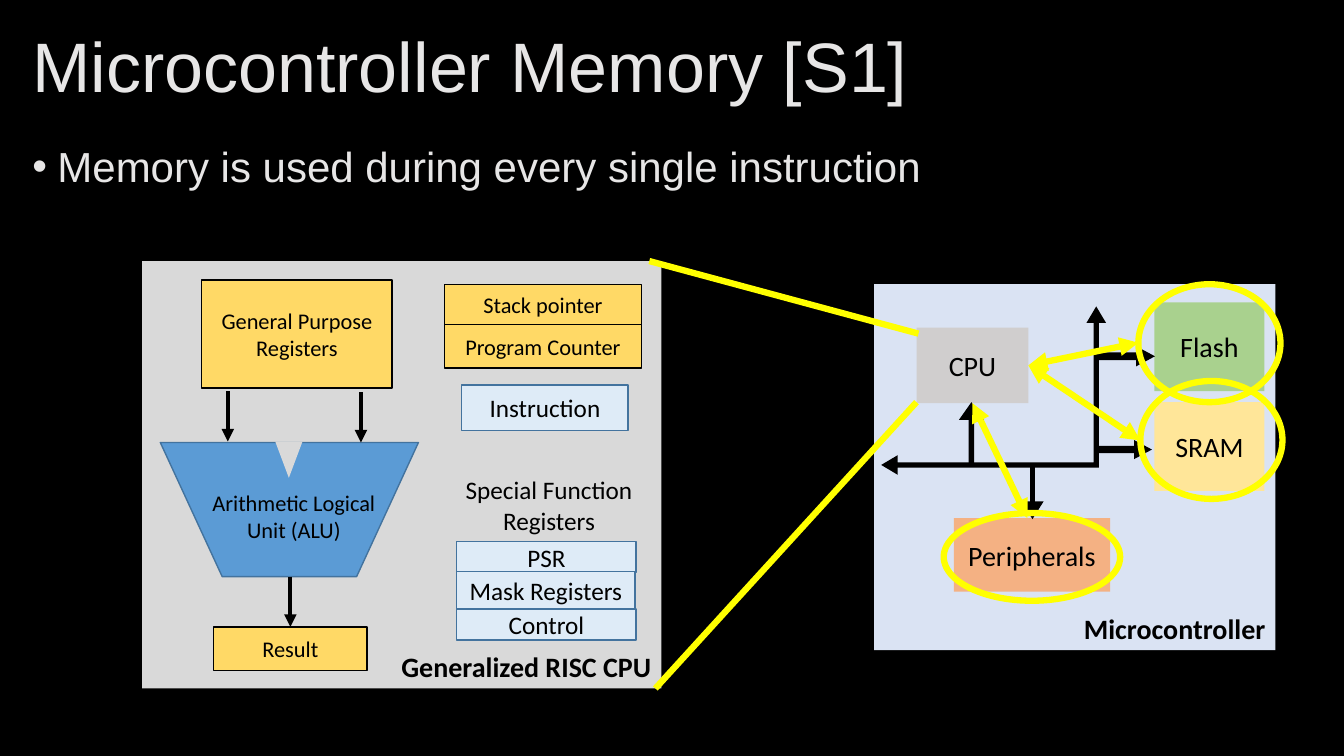
from pptx import Presentation
from pptx.dml.color import RGBColor
from pptx.enum import shapes, text
from pptx.oxml import ns, xmlchemy as xc
from pptx.util import Inches, Pt

KIND = shapes.MSO_SHAPE
BLACK, YELLOW, PALE = "000000", "FFFF00", "E7E6E6"
GOLD, SKY, EDGE, GRAY = "FFD966", "DEEBF7", "43739E", "D9D9D9"

TITLE = ("Microcontroller Memory [S1]", (0.22, 0.21, 12.89, 0.97), 50)
BODY = ("Memory is used during every single instruction", (0.22, 1.4, 11.64, 0.61), 30)

PANELS = [
    ("Microcontroller", (8.67, 2.82, 3.98, 3.63), "DAE3F3"),
    ("Generalized RISC CPU", (1.41, 2.59, 5.15, 4.24), GRAY),
]
UNITS = [
    ("Flash", (11.45, 3, 1.09, 0.88), "A9D18E"),
    ("CPU", (9.09, 3.25, 1.11, 0.75), "D0CECE"),
    ("Peripherals", (9.46, 5.14, 1.55, 0.73), "F4B183"),
    ("SRAM", (11.45, 3.99, 1.09, 0.88), "FFE699"),
]
BUSES = [
    (KIND.LEFT_UP_ARROW, (8.74, 3.04, 2.23, 1.67), 0, (0.032, 0.058, 0.098)),
    (KIND.UP_ARROW, (9.51, 3.99, 0.25, 0.64), 0, (0.222, 0.708)),
    (KIND.UP_ARROW, (11.07, 3.25, 0.2, 0.57), 90, (0.382, 0.936)),
    (KIND.UP_ARROW, (10.13, 4.63, 0.22, 0.52), 180, (0.222, 0.795)),
    (KIND.UP_ARROW, (11.06, 4.19, 0.19, 0.54), 90, (0.382, 0.936)),
]
RINGS = [(11.29, 2.82, 1.41, 1.17), (11.31, 3.78, 1.41, 1.17), (9.36, 5.09, 1.75, 0.87)]
BLOCKS = [
    ("Result", (2.12, 6.22, 1.52, 0.43), GOLD, BLACK, 16),
    ("General Purpose Registers", (2, 2.78, 1.89, 1.07), GOLD, BLACK, 16),
    ("Stack pointer", (4.41, 2.82, 1.95, 0.4), GOLD, BLACK, 16),
    ("Program Counter", (4.41, 3.22, 1.95, 0.43), GOLD, BLACK, 16),
    ("Instruction", (4.58, 3.82, 1.65, 0.45), SKY, EDGE, 18),
    ("PSR", (4.53, 5.37, 1.78, 0.31), SKY, EDGE, 18),
    ("Mask Registers", (4.53, 5.67, 1.77, 0.37), SKY, EDGE, 18),
    ("Control", (4.53, 6.04, 1.78, 0.31), SKY, EDGE, 18),
]
LABELS = [
    ("Arithmetic Logical\nUnit (ALU)", (1.75, 4.8, 2.33, 0.71), 16),
    ("Special Function\nRegisters", (4.5, 4.66, 1.89, 0.71), 18),
]
FLOWS = [(2.26, 3.88), (3.58, 3.89), (2.88, 5.72)]
DROP = 0.5
ZOOMS = [((6.44, 2.59), (9.11, 3.31)), ((6.5, 6.83), (9.09, 3.99))]
LINKS = [
    (2, (9.65, 4), (10.19, 5.14)),
    (3, (10.2, 3.62), (11.29, 3.4)),
    (3, (10.2, 3.62), (11.31, 4.37)),
]


def rgb(code):
    return RGBColor.from_string(code)


def write(frame, words, size, color=BLACK, font="Calibri", bold=False, align=None):
    frame.text = words
    frame.word_wrap = True
    for para in frame.paragraphs:
        para.alignment = align
        for run in para.runs:
            run.font.size = Pt(size)
            run.font.name = font
            run.font.bold = bold
            run.font.color.rgb = rgb(color)


def draw(kind, box, fill=None, edge=None, width=1, turn=0, adjust=()):
    shape = slide.shapes.add_shape(kind, *map(Inches, box))
    shape.shadow.inherit = False
    shape.rotation = turn
    for i, value in enumerate(adjust):
        shape.adjustments[i] = value
    if fill:
        shape.fill.solid()
        shape.fill.fore_color.rgb = rgb(fill)
    else:
        shape.fill.background()
    if edge:
        shape.line.color.rgb = rgb(edge)
        shape.line.width = Pt(width)
    else:
        shape.line.fill.background()
    return shape


def block(words, box, fill, edge=None, size=20):
    shape = draw(KIND.RECTANGLE, box, fill, edge)
    write(shape.text_frame, words, size, align=text.PP_ALIGN.CENTER)
    shape.text_frame.vertical_anchor = text.MSO_ANCHOR.MIDDLE
    return shape


def panel(words, box, fill):
    shape = draw(KIND.RECTANGLE, box, fill)
    write(shape.text_frame, words, 20, bold=True, align=text.PP_ALIGN.RIGHT)
    shape.text_frame.vertical_anchor = text.MSO_ANCHOR.BOTTOM


def join(start, end, color, width, heads=()):
    points = map(Inches, (*start, *end))
    line = slide.shapes.add_connector(shapes.MSO_CONNECTOR.STRAIGHT, *points)
    line.line.color.rgb = rgb(color)
    line.line.width = Pt(width)
    for head in heads:
        tip = xc.OxmlElement(f"a:{head}")
        tip.set("type", "triangle")
        line.line._get_or_add_ln().append(tip)
    line._element.spPr.append(xc.OxmlElement("a:effectLst"))
    return line


def place(holder, words, box, size):
    holder.left, holder.top, holder.width, holder.height = map(Inches, box)
    write(holder.text_frame, words, size, PALE, "Arial", align=text.PP_ALIGN.LEFT)
    return holder.text_frame


deck = Presentation()
deck.slide_width, deck.slide_height = Inches(13.33), Inches(7.5)
slide = deck.slides.add_slide(deck.slide_layouts[1])
slide.background.fill.solid()
slide.background.fill.fore_color.rgb = rgb(BLACK)

head = place(slide.shapes.title, *TITLE)
head.vertical_anchor = text.MSO_ANCHOR.MIDDLE
head.paragraphs[0].line_spacing = 0.9
item = place(slide.placeholders[1], *BODY).paragraphs[0]
item.space_before = Pt(10)
item.line_spacing = 0.9
props = item._p.get_or_add_pPr()
props.set("marL", str(Inches(0.25)))
props.set("indent", str(-Inches(0.25)))
mark = xc.OxmlElement("a:buChar")
mark.set("char", "•")
props.append(mark)

panel(*PANELS[0])
units = {}
for unit in UNITS:
    units[unit[0]] = block(*unit)
for kind, box, turn, adjust in BUSES:
    draw(kind, box, BLACK, turn=turn, adjust=adjust)
for box in RINGS:
    draw(KIND.OVAL, box, edge=YELLOW, width=4.5)

panel(*PANELS[1])
draw(KIND.TRAPEZOID, (1.59, 4.39, 2.56, 1.33), "5B9BD5", EDGE, turn=180, adjust=(0.461,))
draw(KIND.ISOSCELES_TRIANGLE, (2.73, 4.38, 0.27, 0.36), GRAY, turn=180)
for row in BLOCKS:
    block(*row)
for words, box, size in LABELS:
    label = slide.shapes.add_textbox(*map(Inches, box))
    write(label.text_frame, words, size, align=text.PP_ALIGN.CENTER)
for x, y in FLOWS:
    join((x, y), (x, y + DROP), BLACK, 3, ["tailEnd"])

for start, end in ZOOMS:
    join(start, end, YELLOW, 4.5)
for side, start, end in LINKS:
    link = join(start, end, YELLOW, 4.5, ["headEnd", "tailEnd"])
    link.begin_connect(units["CPU"], side)

deck.save("out.pptx")
